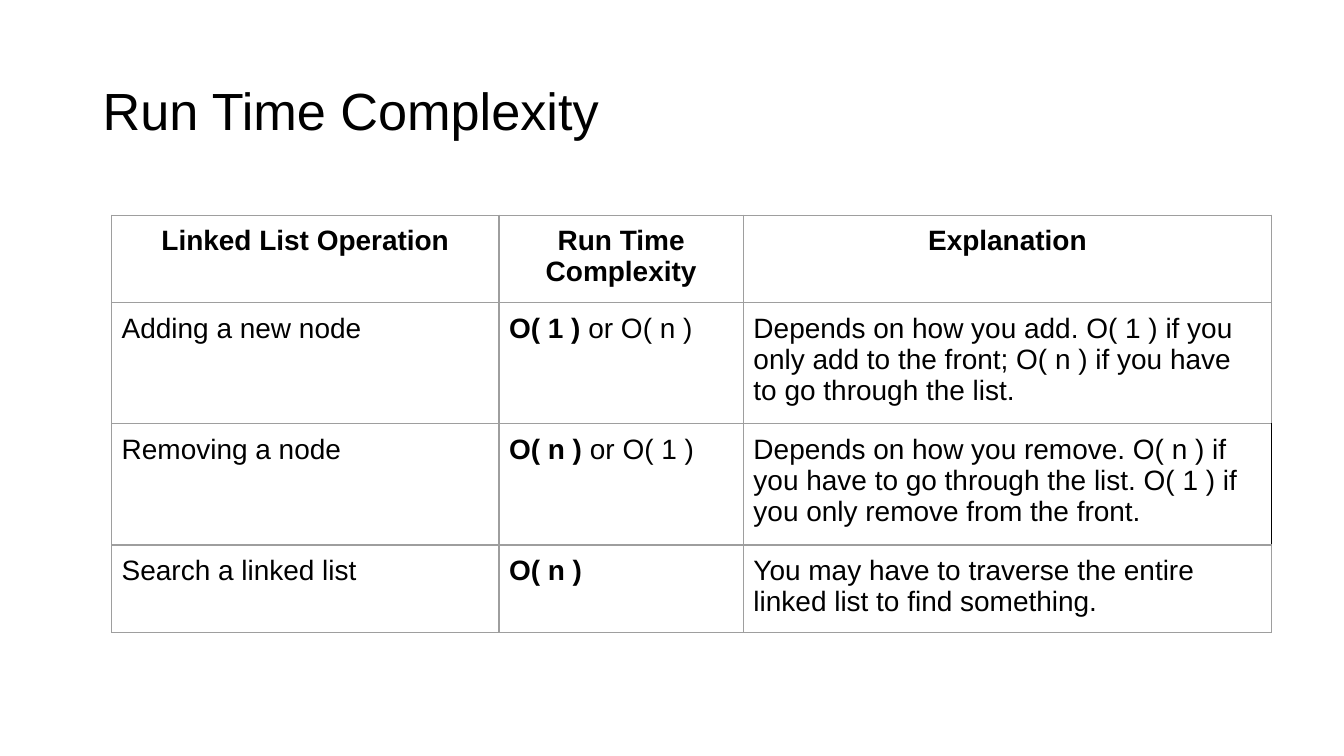
from lxml import etree
from pptx import Presentation
from pptx.dml.color import RGBColor
from pptx.enum.text import MSO_ANCHOR, PP_ALIGN
from pptx.oxml.ns import qn
from pptx.util import Cm, Pt

MIDDLE, TOP = MSO_ANCHOR.MIDDLE, MSO_ANCHOR.TOP
LEFT, CENTER = PP_ALIGN.LEFT, PP_ALIGN.CENTER

# Content: each cell is a list of (text, bold) runs
TITLE = "Run Time Complexity"
HEADER = ["Linked List Operation", "Run Time Complexity", "Explanation"]
OPERATIONS = [
    ("Adding a new node", "O( 1 ) ", "or O( n )",
     "Depends on how you add. O( 1 ) if you only add to the front; "
     "O( n ) if you have to go through the list."),
    ("Removing a node", "O( n ) ", "or O( 1 )",
     "Depends on how you remove. O( n ) if you have to go through the list. "
     "O( 1 ) if you only remove from the front."),
    ("Search a linked list", "O( n )", "",
     "You may have to traverse the entire linked list to find something."),
]
ROWS = [[[(text, True)] for text in HEADER]] + [
    [[(name, False)], [(usual, True), (other, False)], [(why, False)]]
    for name, usual, other, why in OPERATIONS
]
COL_WIDTHS = [7.32, 4.62, 9.98]
ROW_HEIGHTS = [1.64, 2.29, 2.29, 1.64]

BLACK, GREY = "000000", "9E9E9E"
DARK_EDGES = {(2, 2, "R")}  # row, column, side
CELL_FORMAT = dict(margin_left=Cm(0.19), margin_right=Cm(0.19),
                   margin_top=Cm(0.19), margin_bottom=Cm(0.19),
                   vertical_anchor=TOP)
TITLE_FORMAT = dict(margin_left=Cm(0.19), margin_right=Cm(0.19),
                    margin_top=Cm(0.1), margin_bottom=Cm(0.1),
                    vertical_anchor=MIDDLE, word_wrap=True)


def color(value):
    return RGBColor.from_string(value)


def apply(target, values):
    for name, value in values.items():
        setattr(target, name, value)


def write(p, runs, size, align):
    p.alignment = align
    for text, bold in runs:
        if text:
            r = p.add_run()
            r.text = text
            apply(r.font, dict(name="Arial", size=Pt(size), bold=bold))
            r.font.color.rgb = color(BLACK)


def border(cell, side, value):
    ln = etree.SubElement(cell._tc.get_or_add_tcPr(), qn("a:ln" + side),
                          w=str(Pt(0.75)))
    fill = etree.SubElement(ln, qn("a:solidFill"))
    etree.SubElement(fill, qn("a:srgbClr"), val=value)


prs = Presentation()
prs.slide_width, prs.slide_height = Cm(25.4), Cm(14.29)
s = prs.slides.add_slide(prs.slide_layouts[6])

# Title
tf = s.shapes.add_textbox(Cm(1.75), Cm(0.76), Cm(21.9), Cm(2.77)).text_frame
title_values = dict(TITLE_FORMAT)
apply(tf, title_values)
p = tf.paragraphs[0]
p.line_spacing = 0.9
write(p, [(TITLE, False)], 28, LEFT)

# Table of operations
table = s.shapes.add_table(len(ROWS), len(COL_WIDTHS), Cm(2.11), Cm(4.07),
                           Cm(sum(COL_WIDTHS)), Cm(sum(ROW_HEIGHTS))).table
apply(table, dict(first_row=False, horz_banding=False))
for col, width in zip(table.columns, COL_WIDTHS):
    col.width = Cm(width)
for i, (row, height) in enumerate(zip(ROWS, ROW_HEIGHTS)):
    table.rows[i].height = Cm(height)
    for j, runs in enumerate(row):
        cell = table.cell(i, j)
        apply(cell, CELL_FORMAT)
        for side in "LRTB":
            border(cell, side, BLACK if (i, j, side) in DARK_EDGES else GREY)
        cell.fill.background()
        write(cell.text_frame.paragraphs[0], runs, 15, LEFT if i else CENTER)

prs.save("out.pptx")
